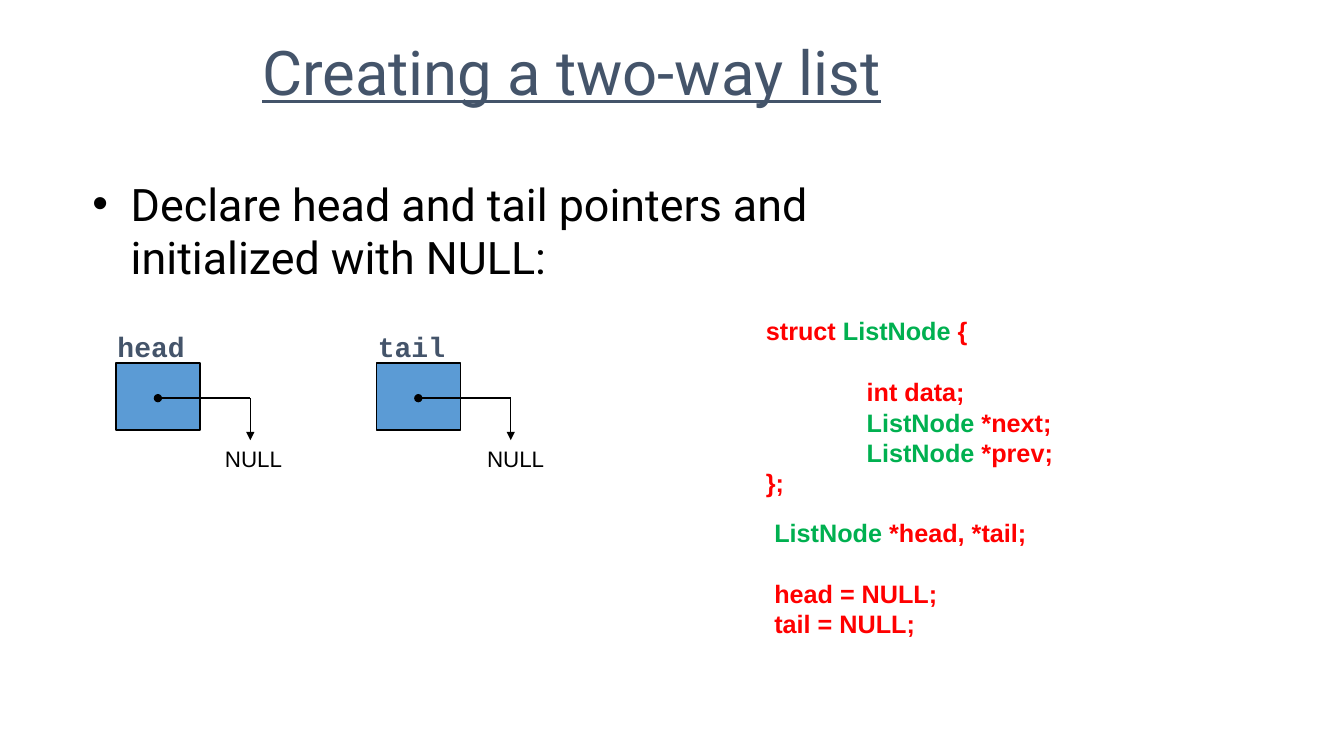
import pptx
import pptx.util
import pptx.dml.color
import pptx.enum.shapes
import pptx.enum.text
import pptx.oxml
import pptx.oxml.ns

COLUMNS, ROWS = 160, 90
SLATE, BLUE, BLACK, RED, GREEN = "44546A", "5B9BD5", "000000", "FF0000", "00B050"
TYPE_NAME = "ListNode"


def color(hex_code):
    return pptx.dml.color.RGBColor.from_string(hex_code)


def add_xml(parent, tag, content="", **attributes):
    """Append one drawing element to parent."""
    values = " ".join(f'{name}="{value}"' for name, value in attributes.items())
    namespace = pptx.oxml.ns.nsdecls("a")
    parent.append(pptx.oxml.parse_xml(f"<a:{tag} {namespace} {values}>{content}</a:{tag}>"))


class ListSlide:
    def __init__(self, presentation):
        self.unit_x = presentation.slide_width / COLUMNS
        self.unit_y = presentation.slide_height / ROWS
        self.slide = presentation.slides.add_slide(presentation.slide_layouts[1])
        self.shapes = self.slide.shapes

    def place(self, column, row, width, height):
        return (round(column * self.unit_x), round(row * self.unit_y),
                round(width * self.unit_x), round(height * self.unit_y))

    def style(self, paragraph, font, size, hex_code, bold=False, underline=False):
        for run in paragraph.runs:
            run.font.name = font
            run.font.size = pptx.util.Pt(size)
            run.font.bold = bold
            run.font.underline = underline
            run.font.color.rgb = color(hex_code)

    def fill_placeholder(self, holder, area, words, anchor):
        holder.left, holder.top, holder.width, holder.height = self.place(*area)
        frame = holder.text_frame
        frame.text = words
        frame.word_wrap = True
        frame.auto_size = pptx.enum.text.MSO_AUTO_SIZE.NONE
        frame.vertical_anchor = anchor
        return frame.paragraphs[0]

    def title(self, area, words):
        heading = self.fill_placeholder(self.slide.shapes.title, area, words,
                                        pptx.enum.text.MSO_ANCHOR.MIDDLE)
        heading.alignment = pptx.enum.text.PP_ALIGN.LEFT
        self.style(heading, "Roboto", 44, SLATE, underline=True)

    def bullet(self, area, words):
        point = self.fill_placeholder(self.slide.placeholders[1], area, words,
                                      pptx.enum.text.MSO_ANCHOR.TOP)
        properties = point._p.get_or_add_pPr()
        properties.set("marL", str(pptx.util.Inches(0.38)))
        properties.set("indent", str(-pptx.util.Inches(0.38)))
        add_xml(properties, "buClr", f'<a:srgbClr val="{BLACK}"/>')
        add_xml(properties, "buFont", typeface="Arial")
        add_xml(properties, "buChar", char="•")
        point.space_before = pptx.util.Pt(0)
        self.style(point, "Roboto", 32, BLACK)

    def text(self, area, words, wrap=True):
        frame = self.shapes.add_textbox(*self.place(*area)).text_frame
        frame.text = words
        frame.word_wrap = wrap
        return frame

    def box(self, area):
        cell = self.shapes.add_shape(pptx.enum.shapes.MSO_SHAPE.RECTANGLE, *self.place(*area))
        cell.shadow.inherit = False
        cell.fill.solid()
        cell.fill.fore_color.rgb = color(BLUE)
        cell.line.color.rgb = color(BLACK)
        cell.line.width = pptx.util.Pt(1)

    def line(self, start, end, end_tag, end_type):
        link = self.shapes.add_connector(pptx.enum.shapes.MSO_CONNECTOR.STRAIGHT,
                                         *self.place(*start, *end))
        link.line.color.rgb = color(BLACK)
        link.line.width = pptx.util.Pt(1)
        add_xml(link.line._get_or_add_ln(), end_tag, type=end_type)
        add_xml(link._element.spPr, "effectLst")

    def pointer(self, column, name):
        """Draw a named pointer cell with its bent arrow as one group."""
        self.shapes = self.slide.shapes.add_group_shape().shapes
        self.box((column, 43.2, 10, 8))
        label = self.text((column - 1, 38.6, 14, 5.2), name)
        self.style(label.paragraphs[0], "Courier New", 20, SLATE, bold=True)
        dot, corner, tip = (column + 5, 47.4), (column + 16, 47.4), (column + 16, 52.4)
        self.line(dot, corner, "headEnd", "oval")
        self.line(corner, tip, "tailEnd", "triangle")
        self.shapes = self.slide.shapes

    def null_label(self, column):
        label = self.text((column, 52.4, 15.4, 4.4), "NULL", wrap=False).paragraphs[0]
        label._p.get_or_add_pPr().set("marL", str(pptx.util.Inches(0.5)))
        self.style(label, "Arial", 16, BLACK)

    def code(self, area, lines, gap_before):
        """Write code lines, with a gap above the line at index gap_before."""
        frame = self.text(area, "\n".join(lines))
        for index, (paragraph, source) in enumerate(zip(frame.paragraphs, lines)):
            add_xml(paragraph._p.get_or_add_pPr(), "tabLst",
                    f'<a:tab pos="{pptx.util.Inches(1)}" algn="l"/>')
            if index == gap_before:
                paragraph.space_before = pptx.util.Pt(22)
            before, found, after = source.partition(TYPE_NAME)
            paragraph.text = before
            for part in filter(None, (found, after)):
                paragraph.add_run().text = part
            self.style(paragraph, "Arial", 18, RED, bold=True)
            for run in paragraph.runs:
                if run.text == TYPE_NAME:
                    run.font.color.rgb = color(GREEN)


def main():
    presentation = pptx.Presentation()
    presentation.slide_width = pptx.util.Inches(13.33)
    presentation.slide_height = pptx.util.Inches(7.5)
    lesson = ListSlide(presentation)

    # Heading and task
    lesson.title((30, 1, 87, 14.8), "Creating a two-way list")
    lesson.bullet((9.8, 20.4, 102, 9),
                  "Declare head and tail pointers and initialized with NULL:")

    # Pointer cells
    for column, name in ((13.8, "head"), (44.8, "tail")):
        lesson.pointer(column, name)

    # Code
    lesson.code((91, 61, 60, 19.4),
                ["ListNode *head, *tail;", "head = NULL;", "tail = NULL;"], gap_before=1)
    lesson.code((90, 37, 42, 23),
                ["struct ListNode {", "\tint data;", "\tListNode *next;",
                 "\tListNode *prev;", "};"], gap_before=1)

    # Pointer targets
    for column in (19.6, 50.8):
        lesson.null_label(column)

    presentation.save("out.pptx")


if __name__ == "__main__":
    main()
